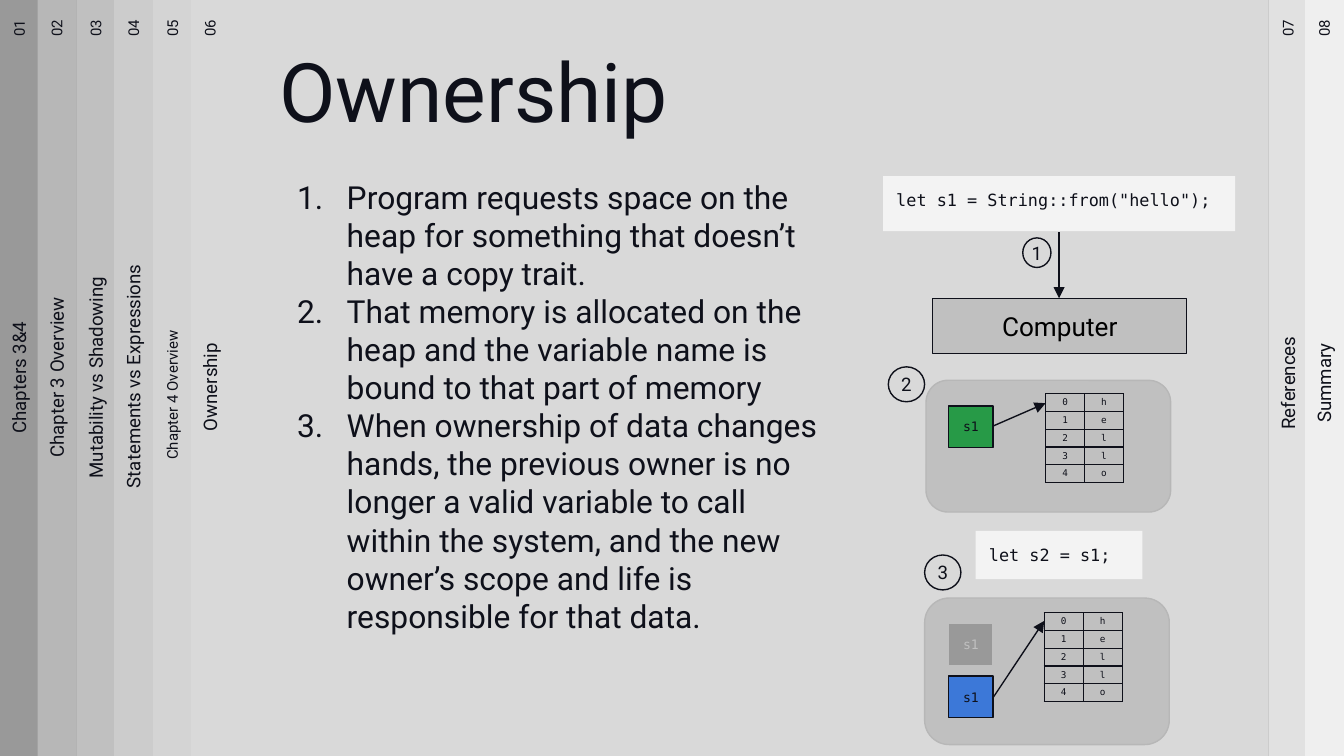
"""Build the Ownership slide with its chapter tabs and memory diagrams."""
from dataclasses import dataclass
from typing import Any, Optional

from lxml.etree import SubElement
from pptx import Presentation
from pptx.dml.color import RGBColor
from pptx.enum.shapes import MSO_CONNECTOR as Connector, MSO_SHAPE as Shape
from pptx.enum.text import MSO_ANCHOR as Anchor, MSO_AUTO_SIZE as AutoSize, PP_ALIGN as Align
from pptx.oxml.ns import qn
from pptx.util import Inches, Pt

INK = RGBColor(0x0E, 0x10, 0x1A)
BLACK = RGBColor(0x00, 0x00, 0x00)
GRAY = RGBColor(0x99, 0x99, 0x99)
EDGE = RGBColor(0xB7, 0xB7, 0xB7)
SILVER = RGBColor(0xC0, 0xC0, 0xC0)
PANEL = RGBColor(0xD9, 0xD9, 0xD9)
PAPER = RGBColor(0xF3, 0xF3, 0xF3)
GREEN = RGBColor(0x1F, 0x98, 0x41)
BLUE = RGBColor(0x3C, 0x78, 0xD8)
SANS, MONO = "Roboto", "DejaVu Sans Mono"
MARGINS = ("margin_left", "margin_top", "margin_right", "margin_bottom")


@dataclass
class Tab:
    number: str
    label: str
    left: float
    width: float
    middle: float
    fill: Optional[RGBColor]
    size: float = 10


@dataclass
class Place:
    left: float
    top: float
    width: float
    height: float

    def lengths(self) -> tuple:
        return tuple(map(Inches, (self.left, self.top, self.width, self.height)))


@dataclass
class Look:
    font: str = SANS
    size: float = 10
    color: RGBColor = INK
    align: Align = Align.CENTER
    anchor: Anchor = Anchor.MIDDLE
    inset: float = 0


TABS = [
    Tab("01", "Chapters 3&4", 0, 0.28, 2.81, None),
    Tab("02", "Chapter 3 Overview", 0.28, 0.29, 2.81, EDGE),
    Tab("03", "Mutability vs Shadowing", 0.57, 0.28, 2.81, SILVER),
    Tab("04", "Statements vs Expressions", 0.85, 0.29, 2.8, RGBColor(0xCC, 0xCC, 0xCC)),
    Tab("05", "Chapter 4 Overview", 1.14, 0.28, 2.94, RGBColor(0xD4, 0xD4, 0xD4), 8),
    Tab("06", "Ownership", 1.42, 8.02, 2.88, PANEL),
    Tab("07", "References", 9.44, 0.27, 2.85, RGBColor(0xE1, 0xE1, 0xE1)),
    Tab("08", "Summary", 9.71, 0.29, 2.85, RGBColor(0xEF, 0xEF, 0xEF)),
]
POINTS = [
    "Program requests space on the heap for something that doesn’t have a copy trait.",
    "That memory is allocated on the heap and the variable name is bound to that part of memory",
    "When ownership of data changes hands, the previous owner is no longer a valid variable to call "
    "within the system, and the new owner’s scope and life is responsible for that data.",
]
CODE = Look(MONO, 9, align=Align.LEFT, anchor=Anchor.TOP, inset=0.1)
OWNER = Look(MONO, 7)


def apply(target: Any, values: dict) -> None:
    for name, value in values.items():
        setattr(target, name, value)


def write(box: Any, lines: list[str], look: Look, **spacing: Any) -> None:
    frame = box.text_frame
    apply(frame, {"word_wrap": True, "auto_size": AutoSize.NONE, "vertical_anchor": look.anchor})
    apply(frame, dict.fromkeys(MARGINS, Inches(look.inset)))
    for index, line in enumerate(lines):
        para = frame.add_paragraph() if index else frame.paragraphs[0]
        apply(para, {"alignment": look.align, **spacing})
        style(para, line, look)


def style(para: Any, text: str, look: Look) -> None:
    span = para.add_run()
    span.text = text
    apply(span.font, {"name": look.font, "size": Pt(look.size)})
    span.font.color.rgb = look.color


def draw_shape(page: Any, kind: Shape, place: Place, fill: Optional[RGBColor] = None,
               line: Optional[RGBColor] = None, text: str = "", look: Look = Look()) -> Any:
    box = page.shapes.add_shape(kind, *place.lengths())
    box.shadow.inherit = False
    if fill is None:
        box.fill.background()
    else:
        box.fill.solid()
        box.fill.fore_color.rgb = fill
    if line is None:
        box.line.fill.background()
    else:
        box.line.color.rgb = line
        box.line.width = Pt(0.75)
    if text:
        write(box, [text], look)
    return box


def draw_upright(page: Any, text: str, center: float, middle: float, length: float, look: Look) -> None:
    place = Place(center - length / 2, middle - 0.14, length, 0.28)
    box = page.shapes.add_textbox(*place.lengths())
    box.rotation = 270
    write(box, [text], look)


def draw_tab(page: Any, tab: Tab) -> None:
    if tab.fill is not None:
        draw_shape(page, Shape.RECTANGLE, Place(tab.left, 0, tab.width, 5.63), tab.fill)
    center = tab.left + 0.14
    draw_upright(page, tab.number, center, 0.54, 0.98, Look(size=8, align=Align.RIGHT, inset=0.1))
    draw_upright(page, tab.label, center, tab.middle, 1.8, Look(size=tab.size))


def draw_arrow(page: Any, *ends: float) -> None:
    arrow = page.shapes.add_connector(Connector.STRAIGHT, *map(Inches, ends))
    arrow.line.color.rgb = INK
    arrow.line.width = Pt(0.75)
    SubElement(arrow.line._get_or_add_ln(), qn("a:tailEnd"), type="triangle")
    SubElement(arrow.element.spPr, qn("a:effectLst"))


def draw_memory(page: Any, left: float, top: float) -> None:
    table = page.shapes.add_table(5, 2, *Place(left, top, 0.58, 0.66).lengths()).table
    apply(table, {"first_row": False, "horz_banding": False})
    for row, letter in enumerate("hello"):
        for column, text in enumerate((str(row), letter)):
            cell = table.cell(row, column)
            apply(cell, {**dict.fromkeys(MARGINS, 0), "vertical_anchor": Anchor.MIDDLE})
            for side in ("lnL", "lnR", "lnT", "lnB"):
                edge = SubElement(cell._tc.get_or_add_tcPr(), qn(f"a:{side}"), w=str(Pt(0.75)))
                SubElement(SubElement(edge, qn("a:solidFill")), qn("a:srgbClr"), val=str(INK))
            cell.fill.solid()
            cell.fill.fore_color.rgb = SILVER
            para = cell.text_frame.paragraphs[0]
            para.alignment = Align.CENTER
            style(para, text, Look(MONO, 5))


def fill_placeholder(page: Any, box: Any, place: Place, lines: list[str], look: Look, **spacing: Any) -> None:
    apply(box, dict(zip(("left", "top", "width", "height"), place.lengths())))
    write(box, lines, look, **spacing)
    page.shapes.element.append(box.element)


def number_points(box: Any) -> None:
    for para in box.text_frame.paragraphs:
        properties = para._p.get_or_add_pPr()
        for name, value in {"marL": Inches(0.5), "indent": Inches(-0.37)}.items():
            properties.set(name, str(value))
        SubElement(SubElement(properties, qn("a:buClr")), qn("a:srgbClr"), val=str(INK))
        SubElement(properties, qn("a:buFont"), typeface=SANS)
        SubElement(properties, qn("a:buAutoNum"), type="arabicPeriod")


def draw_diagram(page: Any) -> None:
    draw_shape(page, Shape.RECTANGLE, Place(6.57, 1.31, 2.62, 0.41), PAPER,
               text='let s1 = String::from("hello");', look=CODE)
    draw_shape(page, Shape.RECTANGLE, Place(6.94, 2.22, 1.89, 0.41), SILVER, INK, "Computer", Look(size=14, color=BLACK))
    draw_shape(page, Shape.RECTANGLE, Place(7.26, 3.95, 1.24, 0.36), PAPER, text="let s2 = s1;", look=CODE)
    for place in (Place(6.89, 2.83, 1.82, 0.98), Place(6.88, 4.45, 1.82, 1.09)):
        draw_shape(page, Shape.ROUNDED_RECTANGLE, place, SILVER, EDGE)
    steps = (Place(7.61, 1.77, 0.21, 0.22), Place(6.61, 2.73, 0.27, 0.26), Place(6.88, 4.13, 0.27, 0.26))
    for step, place in enumerate(steps, 1):
        draw_shape(page, Shape.OVAL, place, line=INK, text=str(step))
    owner = draw_shape(page, Shape.RECTANGLE, Place(7.06, 3.02, 0.33, 0.31), GREEN, INK, "s1", OWNER)
    SubElement(owner.element.spPr.find(f"{qn('a:solidFill')}/{qn('a:srgbClr')}"), qn("a:alpha"), val="95000")
    draw_shape(page, Shape.RECTANGLE, Place(7.06, 4.64, 0.33, 0.31), GRAY, SILVER, "s1", Look(MONO, 7, SILVER))
    draw_shape(page, Shape.RECTANGLE, Place(7.06, 5.03, 0.33, 0.31), BLUE, INK, "s1", OWNER)
    draw_memory(page, 7.78, 2.93)
    draw_memory(page, 7.77, 4.56)
    for ends in ((7.88, 1.73, 7.88, 2.22), (7.39, 3.17, 7.78, 3), (7.39, 5.19, 7.77, 4.62)):
        draw_arrow(page, *ends)


def main() -> None:
    deck = Presentation()
    apply(deck, {"slide_width": Inches(10), "slide_height": Inches(10) * 9 // 16})
    page = deck.slides.add_slide(deck.slide_layouts[1])
    page.background.fill.solid()
    page.background.fill.fore_color.rgb = GRAY
    for tab in TABS:
        draw_tab(page, tab)
    title, body = page.shapes.title, page.placeholders[1]
    heading = Look(size=44, align=Align.LEFT, anchor=Anchor.TOP, inset=0.1)
    fill_placeholder(page, title, Place(1.98, 0.34, 6.73, 1.87), ["Ownership"], heading, line_spacing=0.8)
    listing = Look(size=17, align=Align.LEFT, anchor=Anchor.TOP, inset=0.1)
    fill_placeholder(page, body, Place(1.98, 1.22, 4.35, 3.67), POINTS, listing, space_before=Pt(0))
    number_points(body)
    draw_diagram(page)
    deck.save("out.pptx")


if __name__ == "__main__":
    main()
